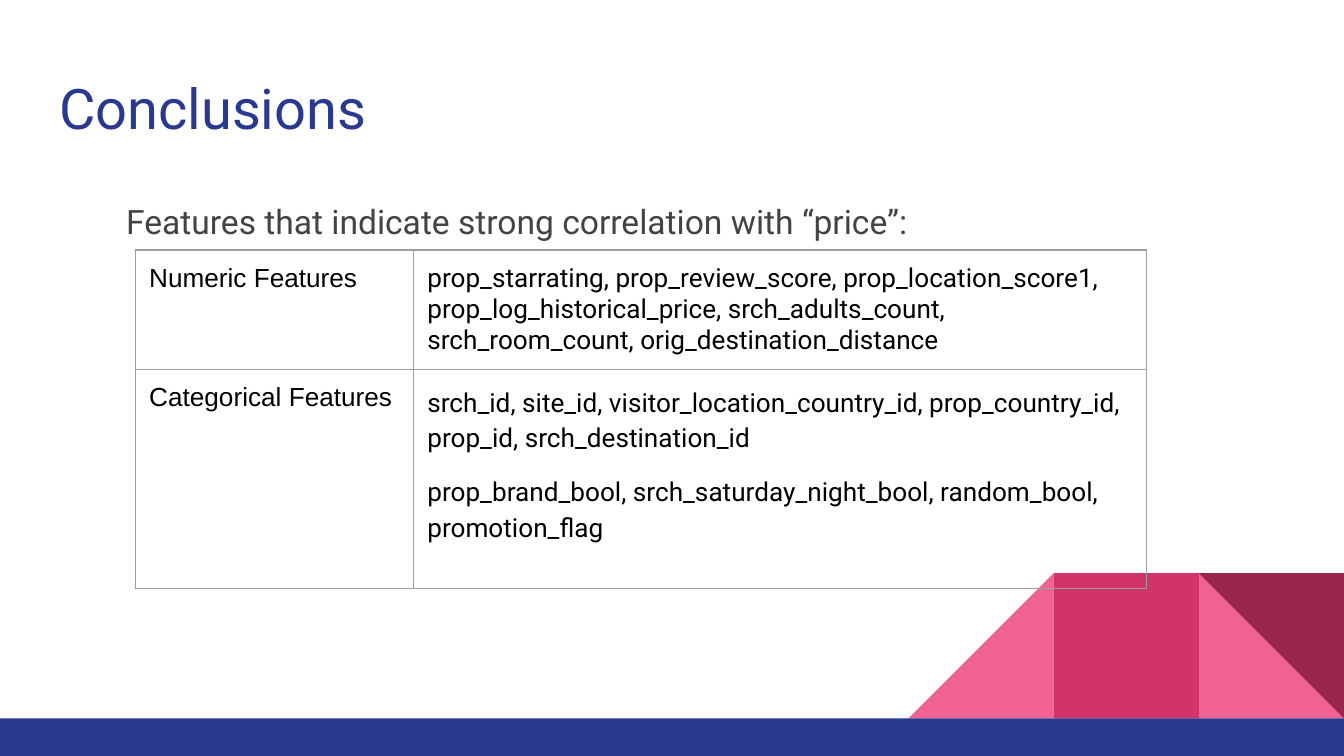
"""Build the conclusions slide with its table of correlated features."""
from lxml import etree
from pptx import Presentation
from pptx.dml.color import RGBColor
from pptx.enum.shapes import MSO_SHAPE
from pptx.enum.text import MSO_ANCHOR, MSO_AUTO_SIZE, PP_ALIGN
from pptx.oxml import parse_xml
from pptx.oxml.ns import nsdecls
from pptx.util import Pt

PX = 4572
RECT, TRIANGLE = MSO_SHAPE.RECTANGLE, MSO_SHAPE.RIGHT_TRIANGLE
TOP, LEFT, NO_FIT = MSO_ANCHOR.TOP, PP_ALIGN.LEFT, MSO_AUTO_SIZE.NONE
COLORS = {
    "blue": "2A3990", "pink": "F06292", "rose": "D23369", "wine": "9C254D",
    "gray": "434343", "border": "9E9E9E", "black": "000000",
}
ROWS = [
    ("Numeric Features", [
        "prop_starrating, prop_review_score, prop_location_score1, "
        "prop_log_historical_price, srch_adults_count, srch_room_count, "
        "orig_destination_distance",
    ]),
    ("Categorical Features", [
        "srch_id, site_id, visitor_location_country_id, prop_country_id, "
        "prop_id, srch_destination_id",
        "prop_brand_bool, srch_saturday_night_bool, random_bool, promotion_flag",
    ]),
]


class SlideBuilder:
    def __init__(self, slide, margin=20):
        self.slide = slide
        self.margin = margin * PX

    def place(self, sp, *box):
        sp.left, sp.top, sp.width, sp.height = (v * PX for v in box)

    def frame(self, tf):
        tf.margin_left = tf.margin_right = self.margin
        tf.margin_top = tf.margin_bottom = self.margin
        tf.word_wrap, tf.auto_size, tf.vertical_anchor = True, NO_FIT, TOP

    def style(self, p, text, size, color, font="Roboto", spacing=1.0):
        p.text, p.alignment, p.line_spacing = text, LEFT, spacing
        p.font.name, p.font.size = font, Pt(size)
        p.font.color.rgb = RGBColor.from_string(COLORS[color])

    def title(self, text, *box):
        sp = self.slide.shapes.title
        self.place(sp, *box)
        self.frame(sp.text_frame)
        self.style(sp.text_frame.paragraphs[0], text, 30, "blue")

    def text(self, text, *box, indent):
        tf = self.slide.shapes.add_textbox(*(v * PX for v in box)).text_frame
        self.frame(tf)
        p = tf.paragraphs[0]
        self.style(p, text, 18, "gray", spacing=1.15)
        p._p.get_or_add_pPr().set("marL", str(indent * PX))

    def shape(self, kind, color, *box, rotation=0, flip=False):
        sp = self.slide.shapes.add_shape(kind, *(v * PX for v in box))
        sp.shadow.inherit = False
        sp.fill.solid()
        sp.fill.fore_color.rgb = RGBColor.from_string(COLORS[color])
        sp.line.fill.background()
        sp.rotation = rotation
        if flip:
            sp._element.spPr.xfrm.set("flipH", "1")

    def cell(self, cell, texts, font, spacing=1.0):
        cell.margin_left = cell.margin_right = self.margin
        cell.margin_top = cell.margin_bottom = self.margin
        tc_pr = cell._tc.get_or_add_tcPr()
        for side in "LRTB":
            ln = parse_xml(f'<a:ln{side} {nsdecls("a")} w="{Pt(0.75)}"/>')
            fill = etree.SubElement(ln, f"{{{ln.nsmap['a']}}}solidFill")
            etree.SubElement(fill, f"{{{ln.nsmap['a']}}}srgbClr", val=COLORS["border"])
            tc_pr.append(ln)
        cell.fill.background()
        tf = cell.text_frame
        for i, text in enumerate(texts):
            p = tf.add_paragraph() if i else tf.paragraphs[0]
            self.style(p, text, 14, "black", font, spacing)
            if i:
                p.space_before, p.space_after = Pt(10), Pt(16)

    def table(self, rows, left, top, widths, heights):
        box = (left, top, sum(widths), sum(heights))
        table = self.slide.shapes.add_table(
            len(rows), len(widths), *(v * PX for v in box)).table
        table.first_row = table.horz_banding = False
        for col, width in zip(table.columns, widths):
            col.width = width * PX
        for row, height, (label, texts) in zip(table.rows, heights, rows):
            row.height = height * PX
            self.cell(row.cells[0], [label], "Arial")
            self.cell(row.cells[1], texts, "Roboto", 1.15 if len(texts) > 1 else 1.0)


def main():
    prs = Presentation()
    prs.slide_width, prs.slide_height = 2000 * PX, 1125 * PX
    s = SlideBuilder(prs.slides.add_slide(prs.slide_layouts[5]))
    side, band_top = 216, 1069
    top = band_top - side
    x1, x2, x3 = (2000 - n * side for n in (3, 2, 1))
    s.shape(TRIANGLE, "pink", x3, top, side, side)
    s.shape(TRIANGLE, "pink", x1, top, side, side, flip=True)
    s.shape(RECT, "rose", x2, top, side, side)
    s.shape(TRIANGLE, "wine", x3, top, side, side, rotation=180)
    s.shape(RECT, "blue", 0, band_top, 2000, 1125 - band_top)
    s.title("Conclusions", 68, 90, 1864, 132)
    s.text("Features that indicate strong correlation with “price”:",
           68, 270, 1864, 730, indent=100)
    s.table(ROWS, 202, 372, (414, 1090), (178, 326))
    prs.save("out.pptx")


if __name__ == "__main__":
    main()
